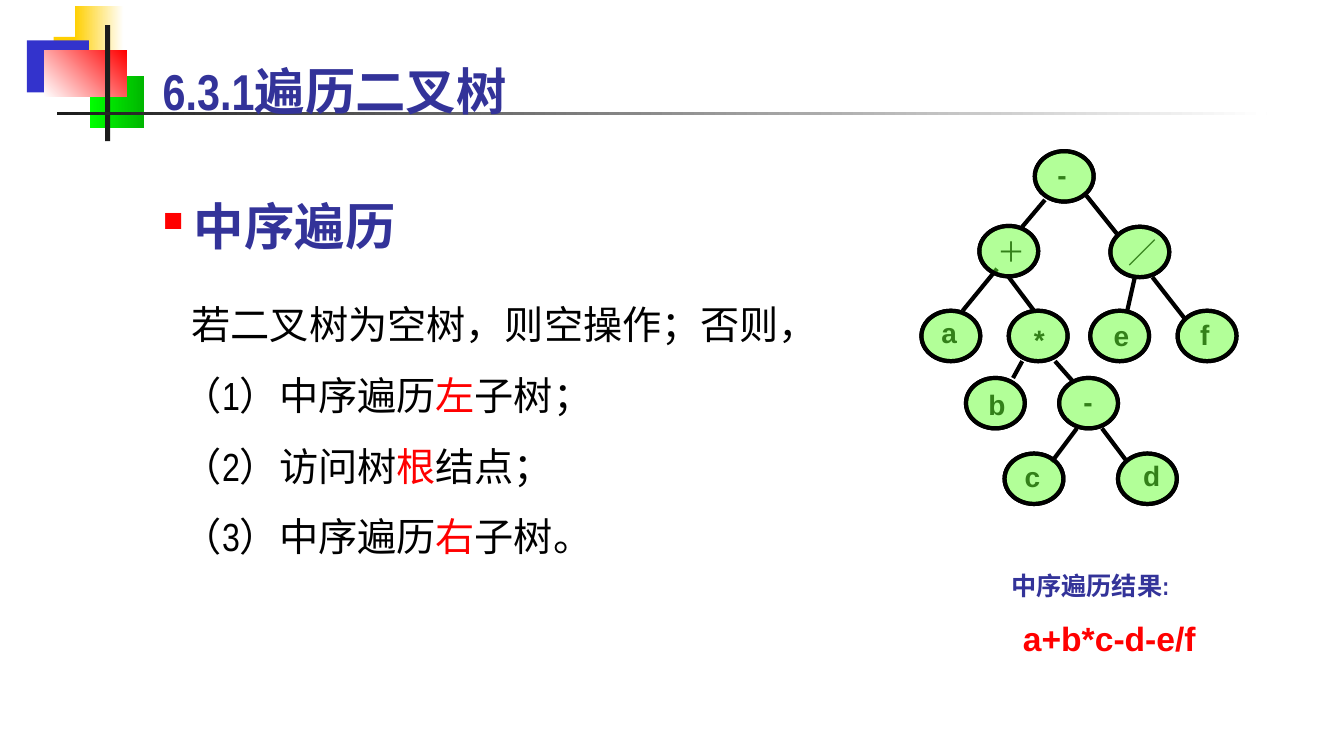
from dataclasses import dataclass
from typing import Optional

import lxml.etree
import pptx
import pptx.dml.color
import pptx.enum.shapes
import pptx.enum.text
import pptx.oxml.ns
import pptx.util

COLUMNS, ROWS = 160, 90  # page grid of square cells, twelve to the inch
CELL = pptx.util.Inches(1) / 12


@dataclass(frozen=True)
class Theme:
    narrow: str = "Arial Narrow"
    sans: str = "Arial"
    title_size: int = 36
    body_size: int = 28
    result_size: int = 24
    label_size: int = 20
    caption_size: int = 18
    line_width: int = 3
    indigo: str = "333399"
    blue: str = "3333CC"
    red: str = "FF0000"
    gold: str = "FFCF01"
    lime: str = "00FF00"
    green: str = "00B600"
    tint: str = "66FF33"
    ink: str = "1C1C1C"
    black: str = "000000"
    white: str = "FFFFFF"


THEME = Theme()


@dataclass(frozen=True)
class Area:
    column: float
    row: float
    width: float
    height: float

    def lengths(self) -> list[int]:
        return [cells(n) for n in (self.column, self.row, self.width, self.height)]


@dataclass(frozen=True)
class Block:
    area: Area
    start: str
    end: Optional[str] = None
    angle: int = 0


@dataclass(frozen=True)
class Style:
    size: int
    color: str
    font: str = THEME.narrow
    bold: bool = True
    spacing: float = 1.0


@dataclass(frozen=True)
class Node:
    label: str
    column: float
    row: float
    shift_column: float  # label offset from the ring
    shift_row: float

    def area(self) -> Area:
        return Area(self.column, self.row, 7, 6)


@dataclass(frozen=True)
class Branch:
    from_column: float
    from_row: float
    to_column: float
    to_row: float


# Corner ornament and title rule
BLOCKS = [
    Block(Area(6.4, 4.4, 7.7, 6.2), THEME.gold),
    Block(Area(8.9, 0.7, 5.8, 6.2), THEME.gold, THEME.white),
    Block(Area(3.2, 4.8, 7.4, 6.2), THEME.blue),
    Block(Area(10.7, 9, 6.5, 6.2), THEME.lime, THEME.green),
    Block(Area(5.3, 6, 9.8, 5.5), THEME.white, THEME.red, 45),
    Block(Area(12.5, 3, 0.6, 13.8), THEME.ink),
    Block(Area(6.8, 13.35, 144, 0.4), THEME.ink, THEME.white),
]

# Expression tree, level by level
NODES = [
    Node("-", 123.2, 18, 1.5, 0.2),
    Node("＋", 116.6, 26.9, 1, 0.4),
    Node("／", 132.2, 27, 1, 0.4),
    Node("a", 109.7, 37, 1.2, 0),
    Node("*", 120.1, 37, 1.8, 0.8),
    Node("e", 129.8, 37, 1.6, 0.3),
    Node("f", 140.2, 37, 1.5, 0.2),
    Node("b", 115, 45, 1.5, 0.5),
    Node("-", 126.1, 45, 1.7, 0.2),
    Node("c", 119.6, 54, 1.2, 0.1),
    Node("d", 133.1, 54, 1.8, 0),
]
BRANCHES = [
    Branch(124.4, 23.8, 121.7, 27),
    Branch(129.1, 23, 133.1, 28),
    Branch(118.7, 32, 114.6, 37),
    Branch(120.1, 33, 123.1, 37),
    Branch(135.1, 33, 134.2, 37),
    Branch(137.2, 33, 141.1, 38),
    Branch(121.7, 43, 120.6, 45),
    Branch(125.6, 43, 127.9, 45.6),
    Branch(128.2, 51, 125.2, 55),
    Branch(131.2, 51, 134.2, 55),
]

# Traversal steps: before, highlighted word, after
STEPS = [
    (" 若二叉树为空树，则空操作；否则，",),
    ("（1）中序遍历", "左", "子树；"),
    ("（2）访问树", "根", "结点；"),
    ("（3）中序遍历", "右", "子树。"),
]


def cells(count: float) -> int:
    return round(count * CELL)


def rgb(color: str) -> pptx.dml.color.RGBColor:
    return pptx.dml.color.RGBColor.from_string(color)


def add_element(parent, tag: str, **attributes: str):
    return lxml.etree.SubElement(parent, pptx.oxml.ns.qn(tag), attributes)


def draw_block(page, block: Block) -> None:
    shape = page.shapes.add_shape(
        pptx.enum.shapes.MSO_SHAPE.RECTANGLE, *block.area.lengths())
    shape.shadow.inherit = False
    shape.line.fill.background()
    if block.end is None:
        shape.fill.solid()
        shape.fill.fore_color.rgb = rgb(block.start)
        return
    shape.fill.gradient()
    shape.fill.gradient_angle = block.angle
    for stop, color in zip(shape.fill.gradient_stops, (block.start, block.end)):
        stop.color.rgb = rgb(color)


def draw_text(page, area: Area, lines: list[tuple[str, ...]], style: Style,
              bullet: bool = False, wrap: bool = True):
    box = page.shapes.add_textbox(*area.lengths())
    box.text_frame.word_wrap = wrap
    for index, spans in enumerate(lines):
        para = box.text_frame.add_paragraph() if index else box.text_frame.paragraphs[0]
        para.line_spacing = style.spacing
        if bullet:
            add_bullet(para)
        para.font.name = style.font
        para.font.size = pptx.util.Pt(style.size)
        para.font.bold = style.bold
        para.font.color.rgb = rgb(style.color)
        for position, text in enumerate(spans):
            span = para.add_run()
            span.text = text
            if position == 1:
                span.font.color.rgb = rgb(THEME.red)
    return box


def add_bullet(para) -> None:
    properties = para._p.get_or_add_pPr()
    properties.set("marL", str(cells(9.7)))
    properties.set("indent", str(cells(-3.7)))
    add_element(add_element(properties, "a:buClr"), "a:srgbClr", val=THEME.red)
    add_element(properties, "a:buSzPct", val="55000")
    add_element(properties, "a:buChar", char="■")


def draw_branch(page, branch: Branch) -> None:
    ends = (branch.from_column, branch.from_row, branch.to_column, branch.to_row)
    line = page.shapes.add_connector(
        pptx.enum.shapes.MSO_CONNECTOR.STRAIGHT, *map(cells, ends))
    line.line.color.rgb = rgb(THEME.black)
    line.line.width = pptx.util.Pt(THEME.line_width)
    add_element(line._element.spPr, "a:effectLst")


def draw_ring(page, node: Node, tinted: bool) -> None:
    ring = page.shapes.add_shape(
        pptx.enum.shapes.MSO_SHAPE.OVAL, *node.area().lengths())
    ring.shadow.inherit = False
    ring.line.color.rgb = rgb(THEME.black)
    ring.line.width = pptx.util.Pt(THEME.line_width)
    if not tinted:
        ring.fill.background()
        return
    ring.fill.solid()
    ring.fill.fore_color.rgb = rgb(THEME.tint)
    color = ring._element.spPr.find(".//" + pptx.oxml.ns.qn("a:srgbClr"))
    add_element(color, "a:alpha", val="50000")


def draw_label(page, node: Node) -> None:
    area = Area(node.column + node.shift_column, node.row + node.shift_row, 6, 5.2)
    style = Style(THEME.label_size, THEME.black, THEME.sans, bold=node.label != "＋")
    draw_text(page, area, [(node.label,)], style)


def main() -> None:
    deck = pptx.Presentation()
    deck.slide_width, deck.slide_height = cells(COLUMNS), cells(ROWS)
    page = deck.slides.add_slide(deck.slide_layouts[6])
    for block in BLOCKS:
        draw_block(page, block)

    # Title, heading and steps
    heading = Style(THEME.title_size, THEME.indigo)
    title = draw_text(page, Area(18.2, 6.4, 102, 8.6), [("6.3.1遍历二叉树",)], heading)
    title.text_frame.vertical_anchor = pptx.enum.text.MSO_ANCHOR.MIDDLE
    draw_text(page, Area(12.2, 19, 80.8, 14), [("中序遍历",)],
              Style(THEME.title_size, THEME.indigo, spacing=1.5), bullet=True)
    draw_text(page, Area(20.6, 32.4, 78.8, 34.1), STEPS,
              Style(THEME.body_size, THEME.black, bold=False, spacing=1.5), wrap=False)

    # Tree: branches, rings and labels under the translucent highlights
    for branch in BRANCHES:
        draw_branch(page, branch)
    for node in NODES:
        draw_ring(page, node, tinted=False)
        draw_label(page, node)
        draw_ring(page, node, tinted=True)

    # Result of the traversal
    draw_text(page, Area(119.2, 67.3, 27.8, 4.8), [("中序遍历结果:",)],
              Style(THEME.caption_size, THEME.indigo))
    draw_text(page, Area(120.6, 73, 27, 6), [("a+b*c-d-e/f",)],
              Style(THEME.result_size, THEME.red, THEME.sans))
    deck.save("out.pptx")


if __name__ == "__main__":
    main()
